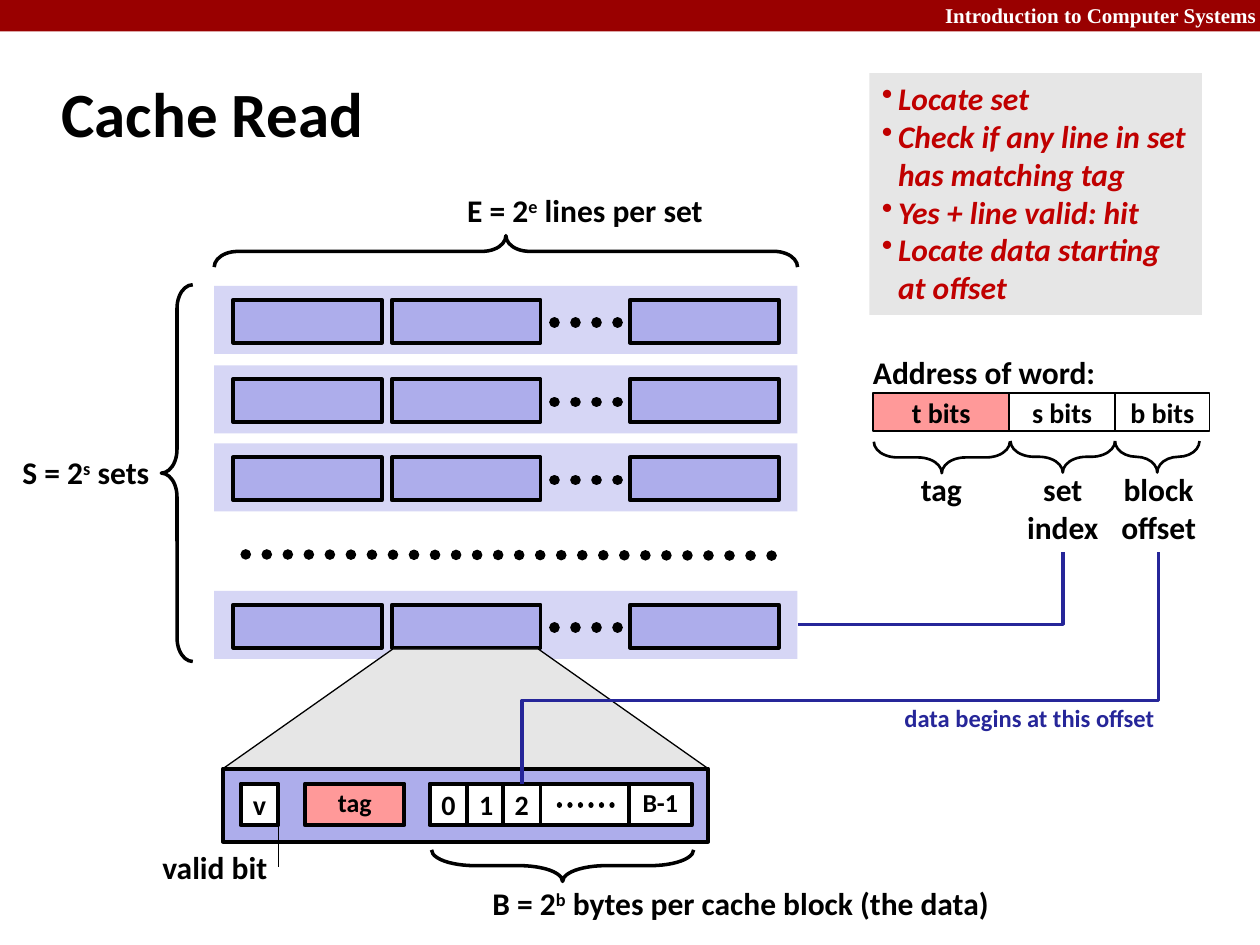
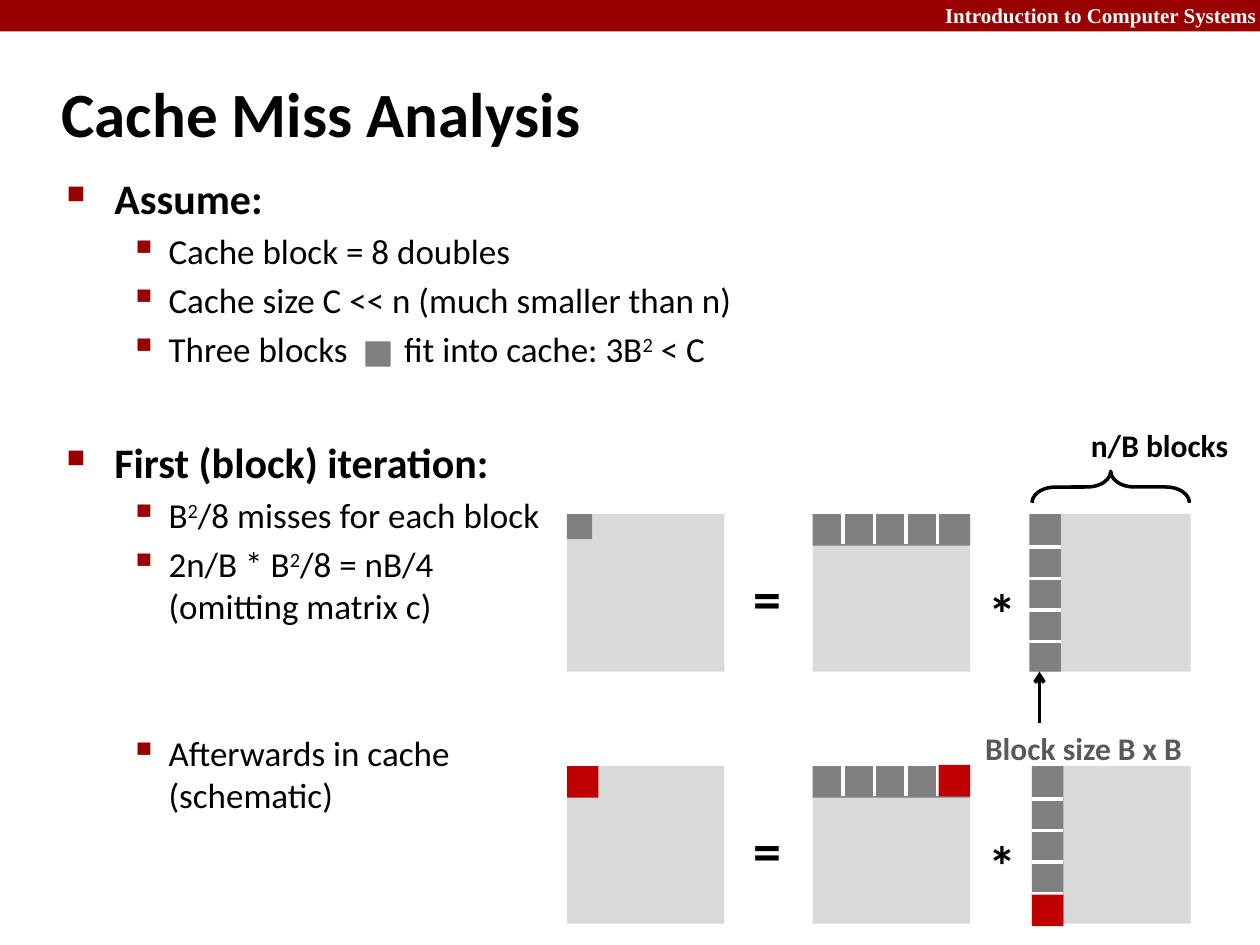
from dataclasses import dataclass
from typing import NamedTuple, Optional

from lxml.etree import SubElement
from pptx import Presentation
from pptx.dml.color import RGBColor
from pptx.enum.dml import MSO_LINE
from pptx.enum.shapes import MSO_CONNECTOR as Link, MSO_SHAPE as Preset
from pptx.enum.text import MSO_ANCHOR as Anchor, MSO_AUTO_SIZE as AutoSize, PP_ALIGN as Align
from pptx.oxml.ns import qn
from pptx.util import Inches, Pt

BLACK = RGBColor(0x00, 0x00, 0x00)
WHITE = RGBColor(0xFF, 0xFF, 0xFF)
BAND_RED = RGBColor(0x99, 0x00, 0x00)
HIT_RED = RGBColor(0xC0, 0x00, 0x00)
TAG_PINK = RGBColor(0xFF, 0x99, 0x99)
SET_LILAC = RGBColor(0xD6, 0xD6, 0xF5)
LINE_LILAC = RGBColor(0xAD, 0xAD, 0xEB)
PATH_BLUE = RGBColor(0x26, 0x26, 0x99)
ZOOM_GRAY = RGBColor(0xE6, 0xE6, 0xE6)
MATRIX_GRAY = RGBColor(0xD9, 0xD9, 0xD9)
BLOCK_GRAY = RGBColor(0x80, 0x80, 0x80)
NOTE_GRAY = RGBColor(0x59, 0x59, 0x59)


class Area(NamedTuple):
    left: float
    top: float
    width: float
    height: float

    def lengths(self) -> list:
        return [Inches(value) for value in self]


class Style(NamedTuple):
    size: float = 18
    color: RGBColor = BLACK
    bold: bool = True
    italic: bool = False
    name: str = "Calibri"


class Bullet(NamedTuple):
    char: str
    margin: float
    hanging: float
    color: Optional[RGBColor] = None
    percent: int = 100


class Stroke(NamedTuple):
    color: RGBColor = BLACK
    width: float = 2
    dotted: bool = False
    arrow: bool = False


@dataclass
class Para:
    text: str
    style: Style = Style()
    align: Align = Align.LEFT
    bullet: Optional[Bullet] = None
    before: float = 0
    spacing: float = 1.0
    tabs: tuple = ()


class Label(NamedTuple):
    area: Area
    text: str
    style: Style = Style()
    align: Align = Align.LEFT


class Cell(NamedTuple):
    area: Area
    text: str
    fill: RGBColor = WHITE
    size: float = 16
    spacing: float = 1.0
    border: float = 2.25


class Brace(NamedTuple):
    area: Area
    rotation: int
    width: float = 2
    curl: float = 0.75


TITLE = Style(36)
COURSE = Style(12, WHITE, name="Times New Roman")
STEP = Style(color=HIT_RED, italic=True)
HEADING = Style(24)
DETAIL = Style(20, bold=False)
OPERATOR = Style(32)
STEP_BULLET = Bullet("•", 0.13, 0.13)
HEADING_BULLET = Bullet("■", 0.38, 0.38, BAND_RED, 60)
DETAIL_BULLET = Bullet("▪", 0.81, 0.31, BAND_RED, 110)
FRAME = Stroke(width=2.25)
DOTS = Stroke(width=6, dotted=True)
SEPARATOR = Stroke(WHITE)


def add_bullet(paragraph, bullet: Bullet) -> None:
    props = paragraph._p.get_or_add_pPr()
    props.set("marL", str(Inches(bullet.margin)))
    props.set("indent", str(-Inches(bullet.hanging)))
    if bullet.color is not None:
        SubElement(SubElement(props, qn("a:buClr")), qn("a:srgbClr"), val=str(bullet.color))
    SubElement(props, qn("a:buSzPct"), val=str(bullet.percent * 1000))
    SubElement(props, qn("a:buChar"), char=bullet.char)


def write_runs(paragraph, para: Para) -> None:
    for order, part in enumerate(para.text.split("^")):
        for row, words in enumerate(part.split("\n")):
            if row:
                paragraph.add_line_break()
            run = paragraph.add_run()
            run.text = words
            values = para.style._asdict()
            values["size"] = Pt(para.style.size)
            run.font.color.rgb = values.pop("color")
            for key, value in values.items():
                setattr(run.font, key, value)
            if order % 2:
                run._r.get_or_add_rPr().set("baseline", "30000")


def write(shape, paras: list[Para], wrap: bool = False, anchor: Anchor = Anchor.TOP,
          fit: AutoSize = AutoSize.NONE) -> None:
    frame = shape.text_frame
    for key, value in dict(word_wrap=wrap, vertical_anchor=anchor, auto_size=fit).items():
        setattr(frame, key, value)
    for order, para in enumerate(paras):
        paragraph = frame.add_paragraph() if order else frame.paragraphs[0]
        if para.bullet:
            add_bullet(paragraph, para.bullet)
        if para.tabs:
            stops = SubElement(paragraph._p.get_or_add_pPr(), qn("a:tabLst"))
            for stop in para.tabs:
                SubElement(stops, qn("a:tab"), pos=str(Inches(stop)), algn="l")
        layout = dict(alignment=para.align, space_before=Pt(para.before), line_spacing=para.spacing)
        for key, value in layout.items():
            setattr(paragraph, key, value)
        write_runs(paragraph, para)


def add_box(slide, area: Area, fill: Optional[RGBColor], stroke: Optional[Stroke] = None,
            preset: Preset = Preset.RECTANGLE):
    shape = slide.shapes.add_shape(preset, *area.lengths())
    shape.shadow.inherit = False
    if fill is None:
        shape.fill.background()
    else:
        shape.fill.solid()
        shape.fill.fore_color.rgb = fill
    if stroke is None:
        shape.line.fill.background()
    else:
        shape.line.color.rgb = stroke.color
        shape.line.width = Pt(stroke.width)
    return shape


def add_label(slide, label: Label, wrap: bool = False) -> None:
    paras = [Para(row, label.style, label.align) for row in label.text.split("\n")]
    write(slide.shapes.add_textbox(*label.area.lengths()), paras, wrap, fit=AutoSize.SHAPE_TO_FIT_TEXT)


def add_cell(slide, cell: Cell) -> None:
    shape = add_box(slide, cell.area, cell.fill, Stroke(width=cell.border))
    para = Para(cell.text, Style(cell.size), Align.CENTER, spacing=cell.spacing)
    write(shape, [para], anchor=Anchor.MIDDLE)


def add_brace(slide, brace: Brace) -> None:
    shape = add_box(slide, brace.area, None, Stroke(width=brace.width), Preset.LEFT_BRACE)
    shape.rotation = brace.rotation
    shape.adjustments[0] = brace.curl


def add_line(slide, start: tuple, end: tuple, stroke: Stroke, kind: Link = Link.STRAIGHT):
    line = slide.shapes.add_connector(kind, *[Inches(value) for value in start + end])
    line.line.color.rgb = stroke.color
    line.line.width = Pt(stroke.width)
    outline = line.line._get_or_add_ln()
    if stroke.dotted:
        line.line.dash_style = MSO_LINE.ROUND_DOT
        outline.set("cap", "rnd")
    if stroke.arrow:
        SubElement(outline, qn("a:tailEnd"), type="arrow")
    SubElement(line._element.spPr, qn("a:effectLst"))
    return line


def add_turned_elbow(slide, area: Area, preset: str, bend: Optional[int] = None) -> None:
    corner = (area.left + area.width, area.top + area.height)
    line = add_line(slide, area[:2], corner, Stroke(PATH_BLUE), Link.ELBOW)
    properties = line._element.spPr
    properties.find(qn("a:xfrm")).set("rot", "5400000")
    geometry = properties.find(qn("a:prstGeom"))
    geometry.set("prst", preset)
    if bend is not None:
        guides = geometry.find(qn("a:avLst"))
        if guides is None:
            guides = SubElement(geometry, qn("a:avLst"))
        SubElement(guides, qn("a:gd"), name="adj1", fmla=f"val {bend}")


def start_slide(deck, title: str):
    slide = deck.slides.add_slide(deck.slide_layouts[6])
    add_box(slide, Area(0, 0, 10, 0.25), BAND_RED)
    course = Label(Area(6, -0.03, 4.07, 0.3), "Introduction to Computer Systems", COURSE, Align.RIGHT)
    add_label(slide, course, wrap=True)
    heading = slide.shapes.add_textbox(*Area(0.39, 0.48, 8.3, 0.83).lengths())
    write(heading, [Para(title, TITLE)], True, Anchor.MIDDLE)
    return slide


def add_cache_set(slide, top: float) -> None:
    add_box(slide, Area(1.7, top, 4.63, 0.54), SET_LILAC)
    for left in (1.85, 3.11, 5):
        add_box(slide, Area(left, top + 0.11, 1.18, 0.34), LINE_LILAC, FRAME)
    add_line(slide, (4.4, top + 0.29), (5.01, top + 0.29), DOTS)


def build_cache_read(deck) -> None:
    slide = start_slide(deck, "Cache Read")
    for top in (2.27, 2.9, 3.52, 4.69):
        add_cache_set(slide, top)
    add_line(slide, (1.95, 4.4), (6.19, 4.41), DOTS)

    zoom = add_box(slide, Area(1.77, 5.15, 3.85, 0.95), ZOOM_GRAY, Stroke(width=0.75), Preset.TRAPEZOID)
    zoom.adjustments[0] = 1.42
    add_box(slide, Area(1.77, 6.1, 3.85, 0.58), LINE_LILAC, FRAME)
    for left, width, text in ((3.41, 0.3, "0"), (3.71, 0.3, "1"), (3.99, 0.3, "2"), (1.91, 0.3, "v")):
        add_cell(slide, Cell(Area(left, 6.22, width, 0.33), text))
    add_cell(slide, Cell(Area(4.99, 6.22, 0.5, 0.33), "B-1", size=14.8, spacing=0.9))
    add_cell(slide, Cell(Area(2.42, 6.22, 0.79, 0.33), "tag", TAG_PINK, 14.8, 0.9))
    add_box(slide, Area(4.29, 6.22, 0.7, 0.33), WHITE, FRAME)
    add_line(slide, (4.44, 6.39), (4.94, 6.39), Stroke(width=3, dotted=True))
    add_line(slide, (2.21, 6.88), (2.21, 6.55), Stroke(width=0.75))

    for left, width, text, fill in ((6.93, 1.08, "t bits", TAG_PINK), (8.01, 0.84, "s bits", WHITE),
                                    (8.85, 0.75, "b bits", WHITE)):
        add_cell(slide, Cell(Area(left, 3.12, width, 0.3), text, fill, border=1))

    for brace in (
        Brace(Area(3.89, -0.32, 0.25, 4.63), 90),
        Brace(Area(1.28, 2.26, 0.25, 2.99), 0),
        Brace(Area(4.34, 5.83, 0.25, 2.08), 270, curl=1.37),
        Brace(Area(7.35, 3.09, 0.25, 1.08), 270, 1.5),
        Brace(Area(8.31, 3.21, 0.25, 0.83), 270, 1.5),
        Brace(Area(9.06, 3.29, 0.25, 0.67), 270, 1.5),
    ):
        add_brace(slide, brace)

    add_turned_elbow(slide, Area(7.1, 3.62, 0.57, 2.1), "bentConnector2")
    add_turned_elbow(slide, Area(5.75, 2.78, 1.84, 5.05), "bentConnector3", 63800)

    for label in (
        Label(Area(3.61, 1.47, 2.14, 0.4), "E = 2^e^ lines per set"),
        Label(Area(0.08, 3.55, 1.23, 0.4), "S = 2^s^ sets"),
        Label(Area(1.19, 6.68, 1.04, 0.4), "valid bit"),
        Label(Area(3.81, 6.97, 4.19, 0.4), "B = 2^b^ bytes per cache block (the data)"),
        Label(Area(6.83, 2.75, 1.98, 0.4), "Address of word:"),
        Label(Area(7.21, 3.68, 0.53, 0.4), "tag"),
        Label(Area(8.05, 3.68, 0.77, 0.71), "set\nindex", align=Align.CENTER),
        Label(Area(8.79, 3.68, 0.81, 0.71), "block\noffset", align=Align.CENTER),
        Label(Area(7.08, 5.53, 2.2, 0.34), "data begins at this offset", Style(14, PATH_BLUE)),
    ):
        add_label(slide, label)

    steps = ("Locate set", "Check if any line in set\nhas matching tag",
             "Yes + line valid: hit", "Locate data starting\nat offset")
    callout = add_box(slide, Area(6.9, 0.58, 2.64, 1.92), ZOOM_GRAY)
    write(callout, [Para(step, STEP, bullet=STEP_BULLET) for step in steps])


def add_product(slide, top: float, column_left: float) -> None:
    for left in (4.5, 6.45, 8.2):
        add_box(slide, Area(left, top, 1.25, 1.25), MATRIX_GRAY)
    add_label(slide, Label(Area(5.88, top + 0.34, 0.43, 0.64), "=", OPERATOR))
    add_label(slide, Label(Area(7.75, top + 0.46, 0.43, 0.64), "*", OPERATOR))
    for area in (Area(4.5, top, 0.2, 0.2), Area(6.45, top, 1.25, 0.25), Area(column_left, top, 0.25, 1.25)):
        add_box(slide, area, BLOCK_GRAY)
    for step in range(4):
        x, y = 6.69 + 0.25 * step, top + 0.26 + 0.25 * step
        add_line(slide, (x, top - 0.01), (x, top + 0.24), SEPARATOR)
        add_line(slide, (column_left + 0.25, y), (column_left, y), SEPARATOR)


def build_miss_analysis(deck) -> None:
    slide = start_slide(deck, "Cache Miss Analysis")
    body = slide.shapes.add_textbox(*Area(0.43, 1.32, 8.64, 3.34).lengths())
    detail = dict(style=DETAIL, bullet=DETAIL_BULLET)
    write(body, [
        Para("Assume:", HEADING, bullet=HEADING_BULLET),
        Para("Cache block = 8 doubles", before=4, **detail),
        Para("Cache size C << n (much smaller than n)", before=4, **detail),
        Para("Three blocks\tfit into cache: 3B^2^ < C", before=4, tabs=(1.87, 2.68), **detail),
        Para("First (block) iteration:", HEADING, bullet=HEADING_BULLET, before=38),
        Para("B^2^/8 misses for each block", before=4, **detail),
        Para("2n/B * B^2^/8 = nB/4\n(omitting matrix c)", before=4, **detail),
        Para("Afterwards in cache\n(schematic)", before=60, **detail),
    ], wrap=True)
    add_box(slide, Area(2.9, 2.71, 0.2, 0.2), BLOCK_GRAY)
    add_product(slide, 4.08, 8.17)
    add_product(slide, 6.08, 8.19)
    for left, top in ((4.5, 6.08), (7.45, 6.07), (8.19, 7.1)):
        add_box(slide, Area(left, top, 0.25, 0.25), HIT_RED)
    add_label(slide, Label(Area(7.72, 5.74, 1.78, 0.4), "Block size B x B", Style(color=NOTE_GRAY)))
    add_line(slide, (8.25, 5.74), (8.25, 5.33), Stroke(arrow=True))
    add_brace(slide, Brace(Area(8.69, 3.24, 0.25, 1.25), 90))
    add_label(slide, Label(Area(8.56, 3.33, 1.3, 0.4), "n/B blocks"))


def main() -> None:
    deck = Presentation()
    deck.slide_width, deck.slide_height = Inches(10), Inches(7.5)
    build_cache_read(deck)
    build_miss_analysis(deck)
    deck.save("out.pptx")


if __name__ == "__main__":
    main()
